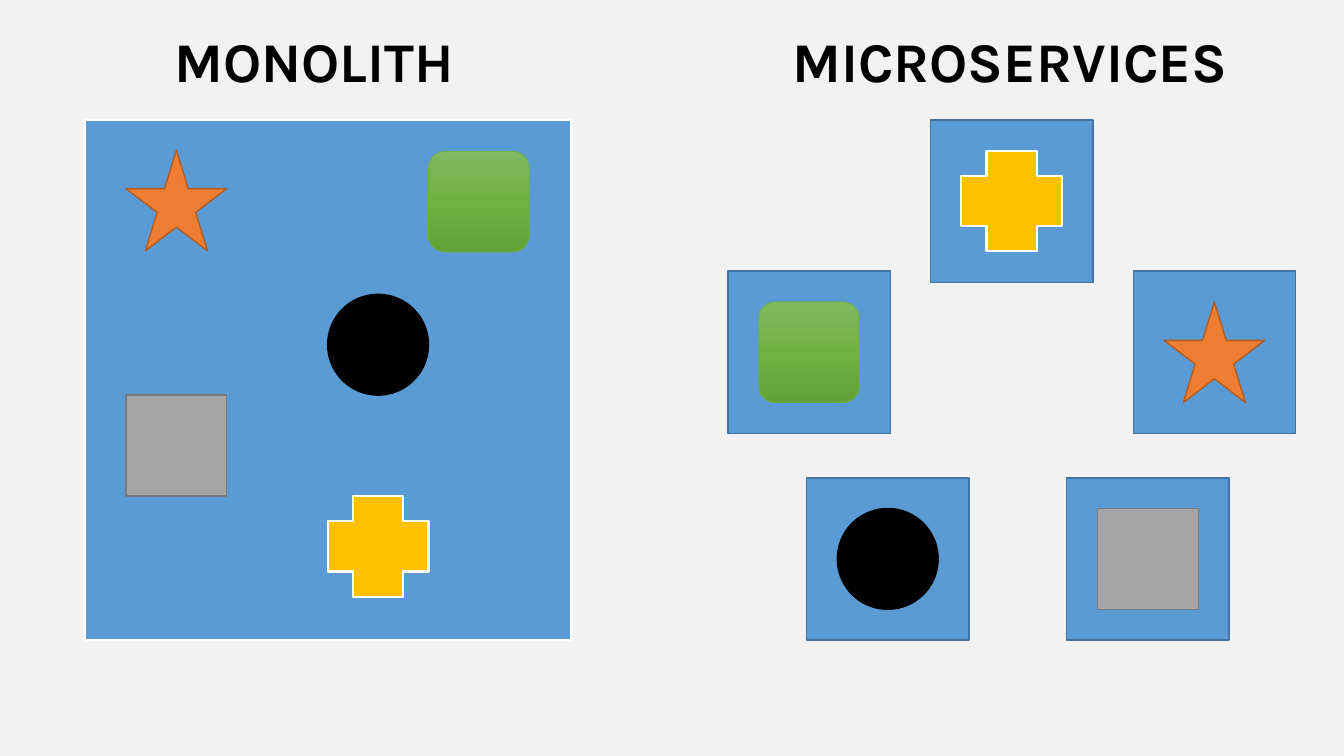
from copy import deepcopy
from pptx import Presentation, util as u
from pptx.dml.color import RGBColor
from pptx.enum import shapes, text

KIND = shapes.MSO_SHAPE
BLUE = "5B9BD5"
ICONS = {
    "star": (KIND.STAR_5_POINT, "ED7D31", "AF5C24", 1),
    "square": (KIND.RECTANGLE, "A5A5A5", "7A7A7A", 1),
    "plus": (KIND.CROSS, "FFC000", "FFFFFF", 1.5),
    "disc": (KIND.OVAL, "000000", "000000", 1),
    "tile": (KIND.ROUNDED_RECTANGLE, ("81B861", "6FB242", "62A336"), "70AD47", 0.5),
}
MONOLITH = {"star": (1.25, 1.49), "square": (1.25, 3.92), "plus": (3.25, 4.92),
            "disc": (3.25, 2.92), "tile": (4.25, 1.5)}
SERVICES = {"tile": (7.22, 2.69), "plus": (9.23, 1.19), "star": (11.24, 2.69),
            "square": (10.58, 4.74), "disc": (8, 4.74)}
BOX, ICON = 1.61, 1


def color(code):
    return RGBColor.from_string(code)


def assign(item, values):
    for name, value in values.items():
        setattr(item, name, value)


class Deck:
    frame = {"word_wrap": False, "vertical_anchor": text.MSO_ANCHOR.TOP,
             "auto_size": text.MSO_AUTO_SIZE.SHAPE_TO_FIT_TEXT}
    font = {"name": "Karla", "size": u.Pt(40), "bold": True}

    def __init__(self, slide):
        self.slide = slide
        fill = slide.background.fill
        fill.solid()
        fill.fore_color.rgb = color("F2F2F2")

    def shape(self, kind, fill, line, weight, left, top, width, height):
        item = self.slide.shapes.add_shape(kind, *map(u.Inches, (left, top, width, height)))
        item.shadow.inherit = False
        item.line.color.rgb = color(line)
        item.line.width = u.Pt(weight)
        if isinstance(fill, tuple):
            self.blend(item, fill)
        else:
            item.fill.solid()
            item.fill.fore_color.rgb = color(fill)

    def blend(self, item, codes):
        item.fill.gradient()
        item.fill.gradient_angle = 270
        stops = next(item._element.spPr.iter("{*}gsLst"))
        middle = deepcopy(stops[0])
        middle.set("pos", "50000")
        stops.insert(1, middle)
        for stop, code in zip(item.fill.gradient_stops, codes):
            stop.color.rgb = color(code)

    def icon(self, name, left, top):
        self.shape(*ICONS[name], left, top, ICON, ICON)

    def service(self, name, left, top):
        self.shape(KIND.RECTANGLE, BLUE, "43739E", 1, left, top, BOX, BOX)
        inset = (BOX - ICON) / 2
        self.icon(name, left + inset, top + inset)

    def heading(self, item, words, left, width):
        assign(item, {"left": u.Inches(left), "top": u.Inches(0.21),
                      "width": u.Inches(width), "height": u.Inches(0.77)})
        assign(item.text_frame, self.frame)
        line = item.text_frame.paragraphs[0]
        line.alignment = text.PP_ALIGN.LEFT
        run = line.add_run()
        run.text = words
        assign(run.font, self.font)
        run.font.color.rgb = color("000000")


show = Presentation()
assign(show, {"slide_width": u.Inches(13.33), "slide_height": u.Inches(7.5)})
page = show.slides.add_slide(show.slide_layouts[5])
deck = Deck(page)
deck.heading(page.shapes.title, "MONOLITH", 1.63, 3.26)
deck.heading(page.shapes.add_textbox(0, 0, 0, 0), "MICROSERVICES", 7.76, 4.54)
deck.shape(KIND.RECTANGLE, BLUE, "FFFFFF", 1.5, 0.84, 1.19, 4.82, 5.16)
for name, place in MONOLITH.items():
    deck.icon(name, *place)
for name, place in SERVICES.items():
    deck.service(name, *place)
show.save("out.pptx")
